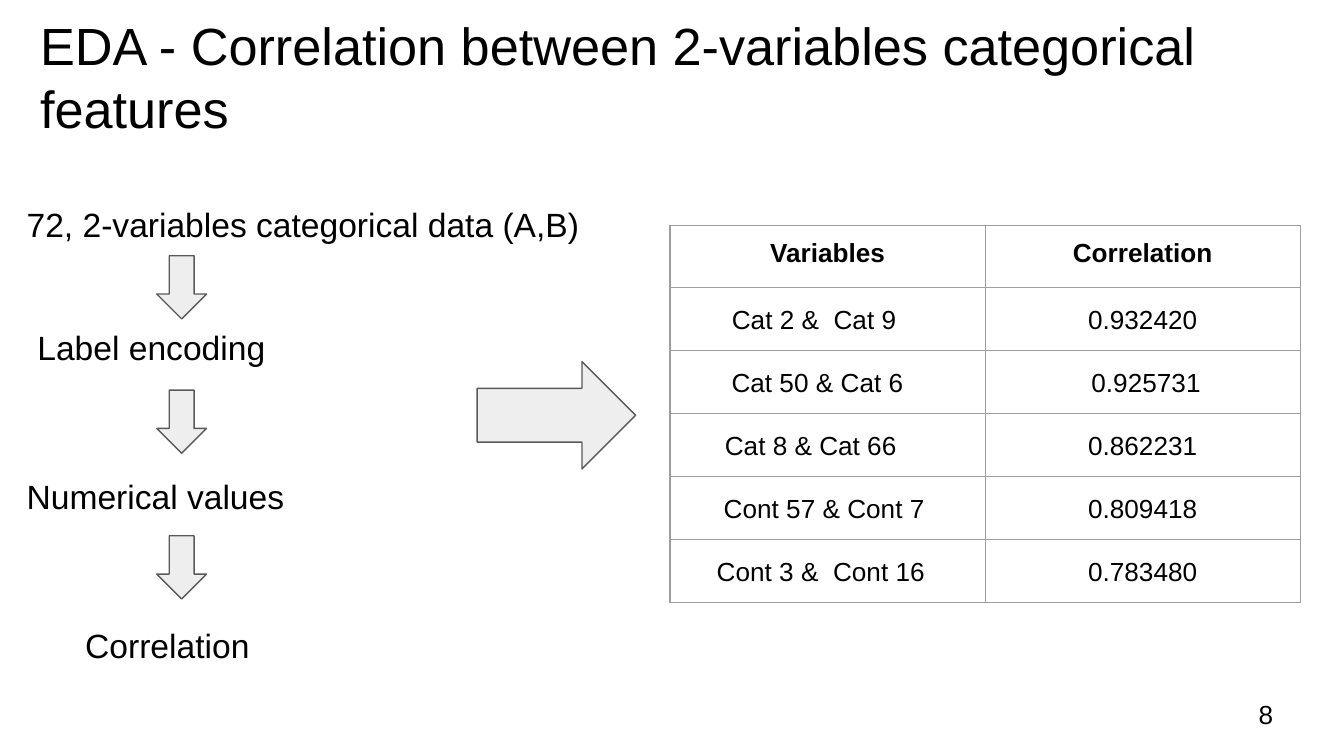
from lxml import etree
from pptx import Presentation
from pptx.dml.color import RGBColor as RGB
from pptx.enum.shapes import MSO_SHAPE as Shape
from pptx.enum.text import MSO_ANCHOR as Anchor, PP_ALIGN as Align
from pptx.oxml.ns import qn
from pptx.util import Inches, Pt

COLORS = {"text": "000000", "fill": "EEEEEE", "outline": "595959", "grid": "9E9E9E"}
INSETS = {f"margin_{side}": Inches(0.1) for side in ("left", "top", "right", "bottom")}
SPACE = 0.05  # width of one 14 pt space, in inches

# Widescreen slide, 16 to 9
prs = Presentation()
prs.slide_width = Inches(10)
prs.slide_height = prs.slide_width * 9 // 16
s = prs.slides.add_slide(prs.slide_layouts[6])


def grid(*cells):
    """Turn columns and rows of a 100-column square grid into lengths."""
    return [int(c * prs.slide_width / 100) for c in cells]


def write(tf, text, size, bold=False):
    p = tf.paragraphs[0]
    r = p.add_run()
    r.text = text
    for name, value in {"name": "Arial", "size": Pt(size), "bold": bold}.items():
        setattr(r.font, name, value)
    r.font.color.rgb = RGB.from_string(COLORS["text"])
    return p


# Title, process steps and page number
texts = [
    ("EDA - Correlation between 2-variables categorical features", 28, (2, 0, 93.2, 6.3)),
    ("72, 2-variables categorical data (A,B)", 18, (1, 14.14, 46.3, 5.5)),
    ("Label encoding", 18, (1.8, 23.3, 29.4, 5.5)),
    ("Numerical values", 18, (1, 34.4, 27.6, 5.5)),
    ("Correlation", 18, (5.36, 45.5, 15.2, 5.5)),
    ("8", 14, (92.66, 51, 6, 4.3)),
]
for text, size, box in texts:
    tf = s.shapes.add_textbox(*grid(*box)).text_frame
    for name, value in {**INSETS, "word_wrap": True}.items():
        setattr(tf, name, value)
    write(tf, text, size)
tf.vertical_anchor = Anchor.MIDDLE  # page number

# Arrows between the steps, and one to the table
arrows = [(Shape.DOWN_ARROW, (11.67, row, 3.7, 4.7)) for row in (19.03, 29.03, 39.87)]
arrows.append((Shape.RIGHT_ARROW, (35.5, 26.9, 11.8, 8)))
for kind, box in arrows:
    sp = s.shapes.add_shape(kind, *grid(*box))
    sp.shadow.inherit = False
    sp.fill.solid()
    sp.fill.fore_color.rgb = RGB.from_string(COLORS["fill"])
    sp.line.color.rgb = RGB.from_string(COLORS["outline"])
    sp.line.width = Pt(0.75)

# Correlation table: label, spaces' worth of shift to the left, value, shift to the right
rows = [
    ("Variables", 0, "Correlation", 0),
    ("Cat 2 &  Cat 9", 4, "0.932420", 0),
    ("Cat 50 & Cat 6", 3, "0.925731", 1),
    ("Cat 8 & Cat 66", 5, "0.862231", 0),
    ("Cont 57 & Cont 7", 1, "0.809418", 0),
    ("Cont 3 &  Cont 16", 2, "0.783480", 0),
]
table = s.shapes.add_table(len(rows), 2, *grid(49.85, 16.8, 46.9, 28)).table
table.first_row = table.horz_banding = False
for i, (label, left_shift, value, right_shift) in enumerate(rows):
    table.rows[i].height = grid(4.6 if i == 0 else 4.68)[0]
    for j, text in enumerate((label, value)):
        cell = table.cell(i, j)
        for name, inset in INSETS.items():
            setattr(cell, name, inset)
        if j == 0:
            cell.margin_right = Inches(0.1 + left_shift * SPACE)
        else:
            cell.margin_left = Inches(0.1 + right_shift * SPACE)
        p = write(cell.text_frame, text, 14, bold=i == 0)
        p.alignment = Align.CENTER
        if i > 0:
            p.line_spacing = 1.15
        # Borders come before the fill in the cell properties
        tcPr = cell._tc.get_or_add_tcPr()
        for edge in ("a:lnL", "a:lnR", "a:lnT", "a:lnB"):
            ln = etree.SubElement(tcPr, qn(edge), w=str(Pt(0.75)))
            solid = etree.SubElement(ln, qn("a:solidFill"))
            etree.SubElement(solid, qn("a:srgbClr"), val=COLORS["grid"])
        cell.fill.background()

prs.save("out.pptx")
